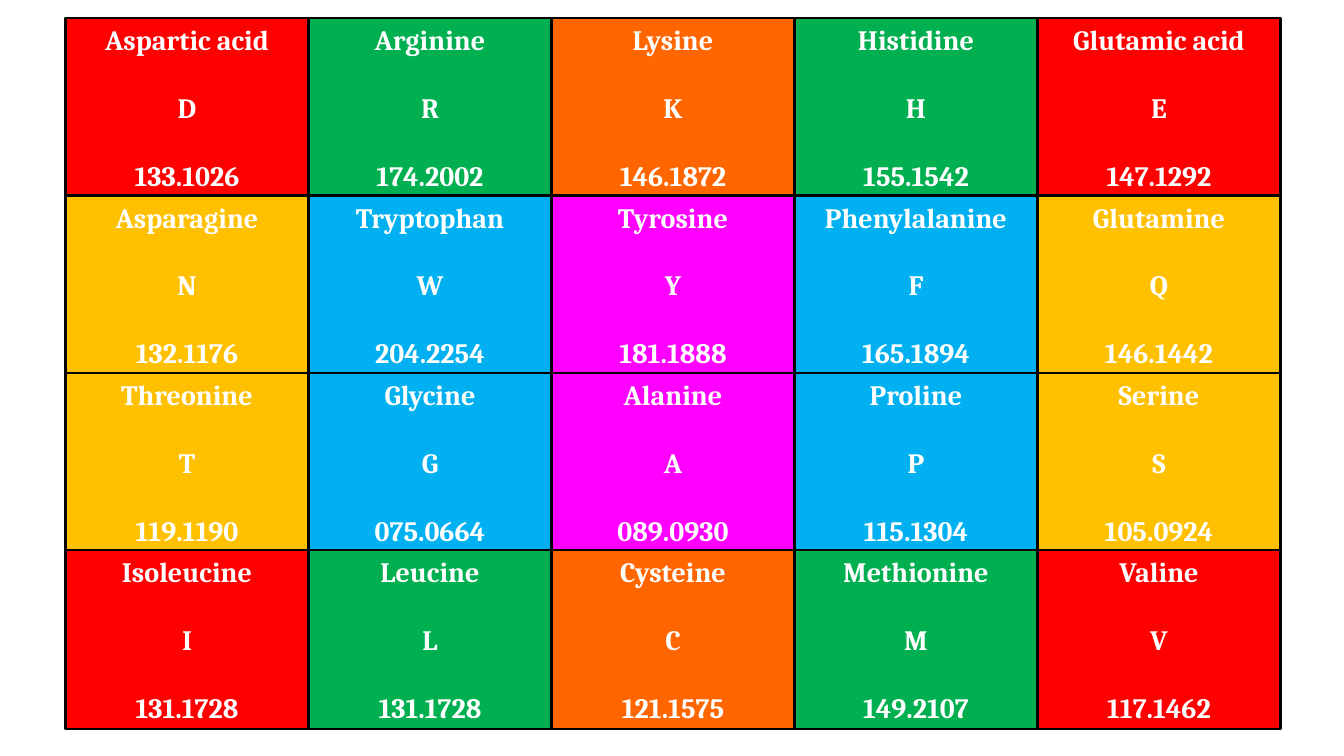
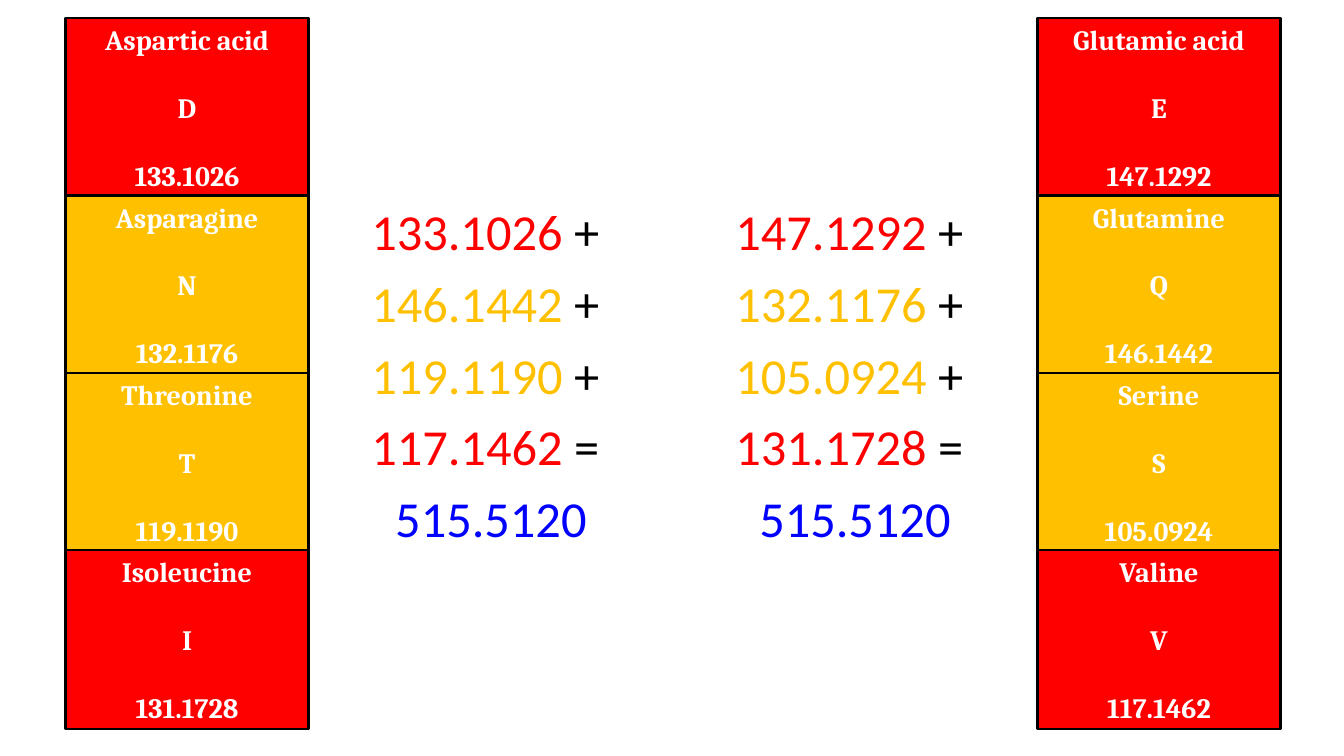
import pptx
import pptx.util
import pptx.dml.color
import pptx.enum.shapes
import pptx.enum.text

Inches = pptx.util.Inches
Pt = pptx.util.Pt

RED, AMBER, GREEN = "FF0000", "FFC000", "00B050"
ORANGE, CYAN, MAGENTA = "FF6600", "00B0F0", "FF00FF"
WHITE, BLACK, BLUE = "FFFFFF", "000000", "0000FF"

ACIDS = [
    [("Aspartic acid", "D", "133.1026", RED), ("Arginine", "R", "174.2002", GREEN),
     ("Lysine", "K", "146.1872", ORANGE), ("Histidine", "H", "155.1542", GREEN),
     ("Glutamic acid", "E", "147.1292", RED)],
    [("Asparagine", "N", "132.1176", AMBER), ("Tryptophan", "W", "204.2254", CYAN),
     ("Tyrosine", "Y", "181.1888", MAGENTA), ("Phenylalanine", "F", "165.1894", CYAN),
     ("Glutamine", "Q", "146.1442", AMBER)],
    [("Threonine", "T", "119.1190", AMBER), ("Glycine", "G", "075.0664", CYAN),
     ("Alanine", "A", "089.0930", MAGENTA), ("Proline", "P", "115.1304", CYAN),
     ("Serine", "S", "105.0924", AMBER)],
    [("Isoleucine", "I", "131.1728", RED), ("Leucine", "L", "131.1728", GREEN),
     ("Cysteine", "C", "121.1575", ORANGE), ("Methionine", "M", "149.2107", GREEN),
     ("Valine", "V", "117.1462", RED)],
]
PAGE_COLUMNS = [range(5), (0, 4)]
SUMS = ["DQTV", "ENSI"]

GRID_LEFT, GRID_TOP = 0.65, 0.18
COLUMN_STEP, ROW_STEP = 2.41, 1.76
CELL_WIDTH, CELL_HEIGHT = 2.41, 1.77
SUM_LEFT, SUM_TOP = 3.06, 1.94
SUM_STEP, SUM_WIDTH, LINE_HEIGHT = 3.61, 3.62, 0.71


def color(value):
    return pptx.dml.color.RGBColor.from_string(value)


def add_span(para, text, font, size, shade, bold=False):
    para.alignment = pptx.enum.text.PP_ALIGN.CENTER
    span = para.add_run()
    span.text = text
    span.font.name = font
    span.font.size = Pt(size)
    span.font.bold = bold
    span.font.color.rgb = color(shade)


def add_acid(page, row, column):
    *lines, fill = ACIDS[row][column]
    box = page.shapes.add_shape(
        pptx.enum.shapes.MSO_SHAPE.RECTANGLE,
        Inches(GRID_LEFT + column * COLUMN_STEP), Inches(GRID_TOP + row * ROW_STEP),
        Inches(CELL_WIDTH), Inches(CELL_HEIGHT))
    box.shadow.inherit = False
    box.fill.solid()
    box.fill.fore_color.rgb = color(fill)
    box.line.color.rgb = color(BLACK)
    box.line.width = Pt(1.5)
    frame = box.text_frame
    frame.word_wrap = True
    frame.vertical_anchor = pptx.enum.text.MSO_ANCHOR.MIDDLE
    for index, text in enumerate(lines):
        para = frame.add_paragraph() if index else frame.paragraphs[0]
        para.space_before = Pt(24.5 if index else 0)
        add_span(para, text, "Cambria", 20, WHITE, True)


def add_sum(page, column, letters):
    by_letter = {letter: (mass, fill) for row in ACIDS for _, letter, mass, fill in row}
    terms = [by_letter[letter] for letter in letters]
    total = sum(float(mass) for mass, _ in terms)
    signs = [" + "] * (len(terms) - 1) + [" = ", ""]
    lines = terms + [(f"{total:.4f}", BLUE)]
    for index, ((number, shade), sign) in enumerate(zip(lines, signs)):
        box = page.shapes.add_textbox(
            Inches(SUM_LEFT + column * SUM_STEP), Inches(SUM_TOP + index * LINE_HEIGHT),
            Inches(SUM_WIDTH), Inches(LINE_HEIGHT))
        frame = box.text_frame
        frame.word_wrap = True
        frame.auto_size = pptx.enum.text.MSO_AUTO_SIZE.SHAPE_TO_FIT_TEXT
        para = frame.paragraphs[0]
        add_span(para, number, "Calibri", 36, shade)
        if sign:
            add_span(para, sign, "Calibri", 36, BLACK)


def main():
    deck = pptx.Presentation()
    deck.slide_width, deck.slide_height = Inches(13.33), Inches(7.5)
    for columns in PAGE_COLUMNS:
        page = deck.slides.add_slide(deck.slide_layouts[6])
        for column in columns:
            for row in range(len(ACIDS)):
                add_acid(page, row, column)
    for column, letters in enumerate(SUMS):
        add_sum(page, column, letters)
    deck.save("out.pptx")


if __name__ == "__main__":
    main()
